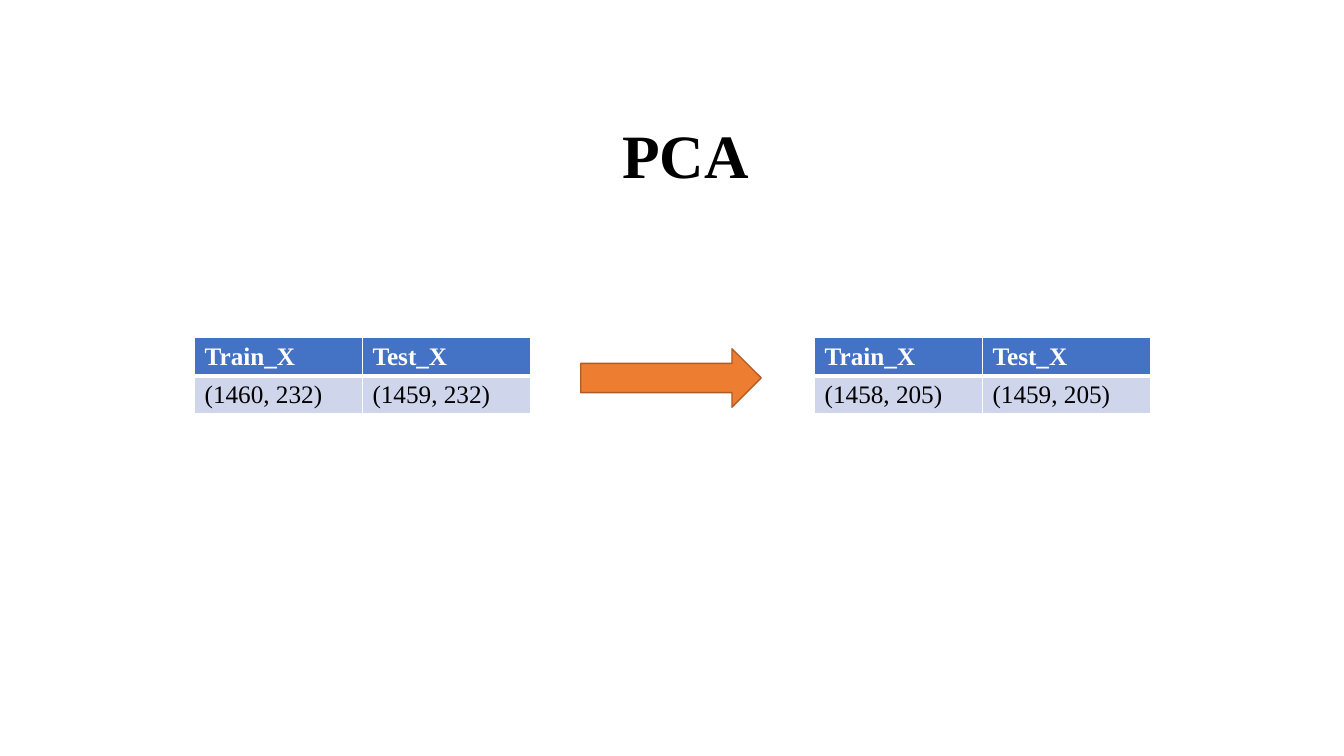
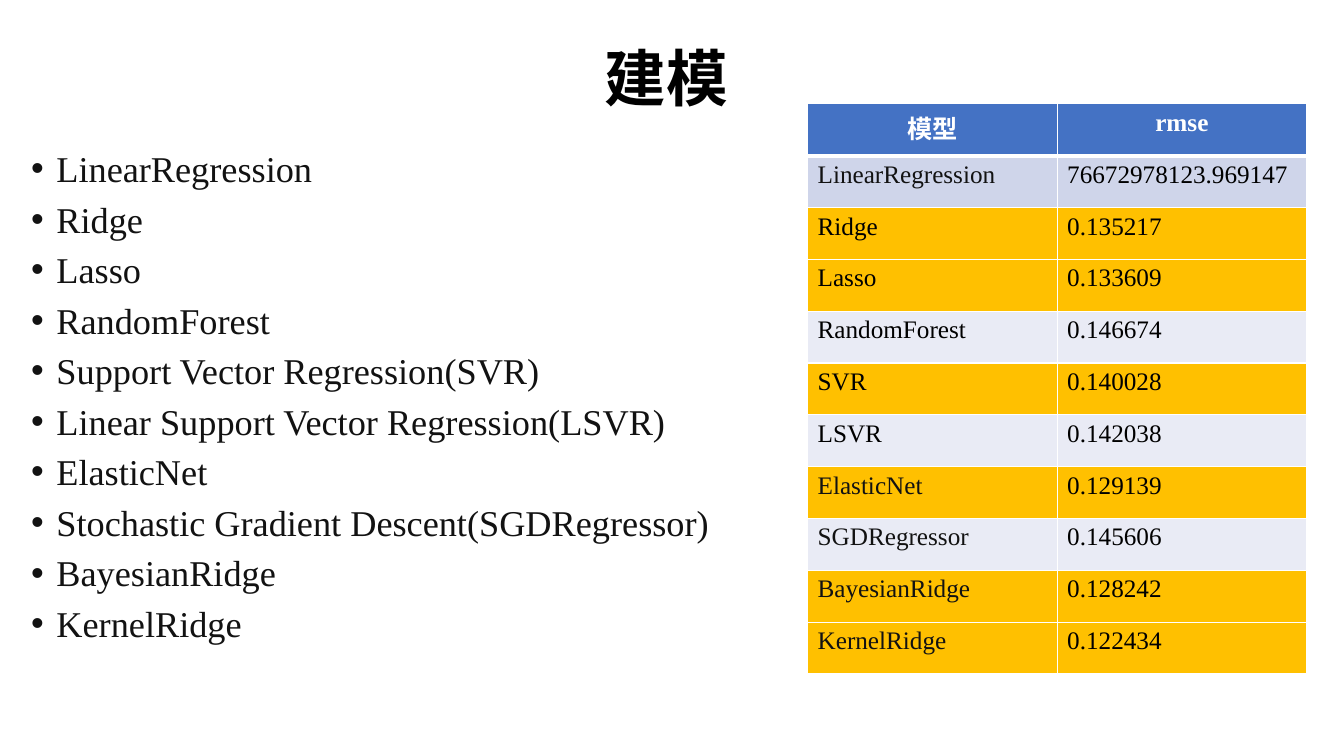
from dataclasses import dataclass

from lxml import etree
from pptx import Presentation
from pptx import util as u
from pptx.dml.color import RGBColor
from pptx.enum import shapes, text
from pptx.oxml import ns

PX = 9144  # 100 px to the inch


@dataclass(frozen=True)
class Theme:
    latin: str = "Times New Roman"
    chinese: str = "Noto Sans CJK SC"
    black: str = "000000"
    ink: str = "121212"
    white: str = "FFFFFF"
    header: str = "4472C4"
    band_dark: str = "CFD5EA"
    band_light: str = "E9EBF5"
    highlight: str = "FFC000"
    arrow: str = "ED7D31"
    arrow_edge: str = "AF5C24"
    title_size: float = 44
    list_size: float = 25.9
    table_size: float = 18


theme = Theme()


def style_text(frame, size, colour, bold=False, align=text.PP_ALIGN.LEFT):
    for para in frame.paragraphs:
        para.alignment = align
        for span in para.runs:
            span.font.name = theme.latin
            span.font.size = u.Pt(size)
            span.font.bold = bold
            span.font.color.rgb = RGBColor.from_string(colour)
            east_asian = etree.SubElement(span.font._element, ns.qn("a:ea"))
            east_asian.set("typeface", theme.chinese)


def add_grid(page, place, rows, colours, header_align=text.PP_ALIGN.LEFT):
    """Add a white-ruled table; colours(row, col) gives fill and text colour below the header."""
    left, top, width, height = (length * PX for length in place)
    grid = page.shapes.add_table(len(rows), len(rows[0]), left, top, width, height).table
    for r, values in enumerate(rows):
        for c, value in enumerate(values):
            cell = grid.cell(r, c)
            cell.text_frame.text = value
            fill, colour = colours(r, c) if r else (theme.header, theme.white)
            align = text.PP_ALIGN.LEFT if r else header_align
            style_text(cell.text_frame, theme.table_size, colour, r == 0, align)
            # The rule under the header is three times as thick as the others
            widths = {"L": 1, "R": 1, "T": 3 if r == 1 else 1, "B": 1 if r else 3}
            properties = cell._tc.get_or_add_tcPr()
            for side, points in widths.items():
                line = etree.SubElement(properties, ns.qn(f"a:ln{side}"), w=str(u.Pt(points)))
                solid = etree.SubElement(line, ns.qn("a:solidFill"))
                etree.SubElement(solid, ns.qn("a:srgbClr"), val=theme.white)
            cell.fill.solid()
            cell.fill.fore_color.rgb = RGBColor.from_string(fill)


deck = Presentation()
deck.slide_width, deck.slide_height = 1333 * PX, 750 * PX
TITLE_AND_CONTENT, TITLE_ONLY = deck.slide_layouts[1], deck.slide_layouts[5]

# Pages and their titles
pages = []
for layout, title, place in (
    (TITLE_ONLY, "PCA", (607, 112, 149, 90)),
    (TITLE_AND_CONTENT, "建模", (590, 34, 153, 93)),
):
    page = deck.slides.add_slide(layout)
    box = page.shapes.title
    box.left, box.top, box.width, box.height = (length * PX for length in place)
    box.text_frame.text = title
    box.text_frame.auto_size = text.MSO_AUTO_SIZE.NONE
    box.text_frame.vertical_anchor = text.MSO_ANCHOR.MIDDLE
    box.text_frame.paragraphs[0].line_spacing = 0.9
    style_text(box.text_frame, theme.title_size, theme.black, bold=True)
    pages.append(page)
pca_page, model_page = pages

# PCA: data shapes before and after
for left, sizes in (
    (193, ("(1460, 232)", "(1459, 232)")),
    (808, ("(1458, 205)", "(1459, 205)")),
):
    add_grid(pca_page, (left, 335, 333, 74), [("Train_X", "Test_X"), sizes],
             lambda row, col: (theme.band_dark, theme.black))

arrow = pca_page.shapes.add_shape(
    shapes.MSO_SHAPE.RIGHT_ARROW, 576 * PX, 346 * PX, 179 * PX, 58 * PX)
arrow.shadow.inherit = False
arrow.fill.solid()
arrow.fill.fore_color.rgb = RGBColor.from_string(theme.arrow)
arrow.line.color.rgb = RGBColor.from_string(theme.arrow_edge)
arrow.line.width = u.Pt(1)

# Modelling: list of models
models = (
    "LinearRegression", "Ridge", "Lasso", "RandomForest",
    "Support Vector Regression(SVR)", "Linear Support Vector Regression(LSVR)",
    "ElasticNet", "Stochastic Gradient Descent(SGDRegressor)",
    "BayesianRidge", "KernelRidge",
)
box = model_page.placeholders[1]
box.left, box.top, box.width, box.height = 21 * PX, 147 * PX, 730 * PX, 522 * PX
box.text_frame.text = "\n".join(models)
box.text_frame.auto_size = text.MSO_AUTO_SIZE.NONE
style_text(box.text_frame, theme.list_size, theme.ink)
for para in box.text_frame.paragraphs:
    para.line_spacing = 0.84
    para.space_before = u.Pt(10)
    properties = para._p.get_or_add_pPr()
    properties.set("marL", str(25 * PX))
    properties.set("indent", str(-25 * PX))
    etree.SubElement(properties, ns.qn("a:buFont"), typeface="Arial")
    etree.SubElement(properties, ns.qn("a:buChar"), char="•")

# Modelling: scores, with the best models highlighted
scores = [
    ("模型", "rmse"),
    ("LinearRegression", "76672978123.969147"),
    ("Ridge", "0.135217"),
    ("Lasso", "0.133609"),
    ("RandomForest", "0.146674"),
    ("SVR", "0.140028"),
    ("LSVR", "0.142038"),
    ("ElasticNet", "0.129139"),
    ("SGDRegressor", "0.145606"),
    ("BayesianRidge", "0.128242"),
    ("KernelRidge", "0.122434"),
]
HIGHLIGHT_BELOW = 0.142


def score_colours(row, col):
    band = theme.band_dark if row % 2 else theme.band_light
    fill = theme.highlight if float(scores[row][1]) < HIGHLIGHT_BELOW else band
    return fill, theme.black if col or 2 <= row <= 6 else theme.ink


add_grid(model_page, (801, 103, 495, 566), scores, score_colours, text.PP_ALIGN.CENTER)

deck.save("out.pptx")
